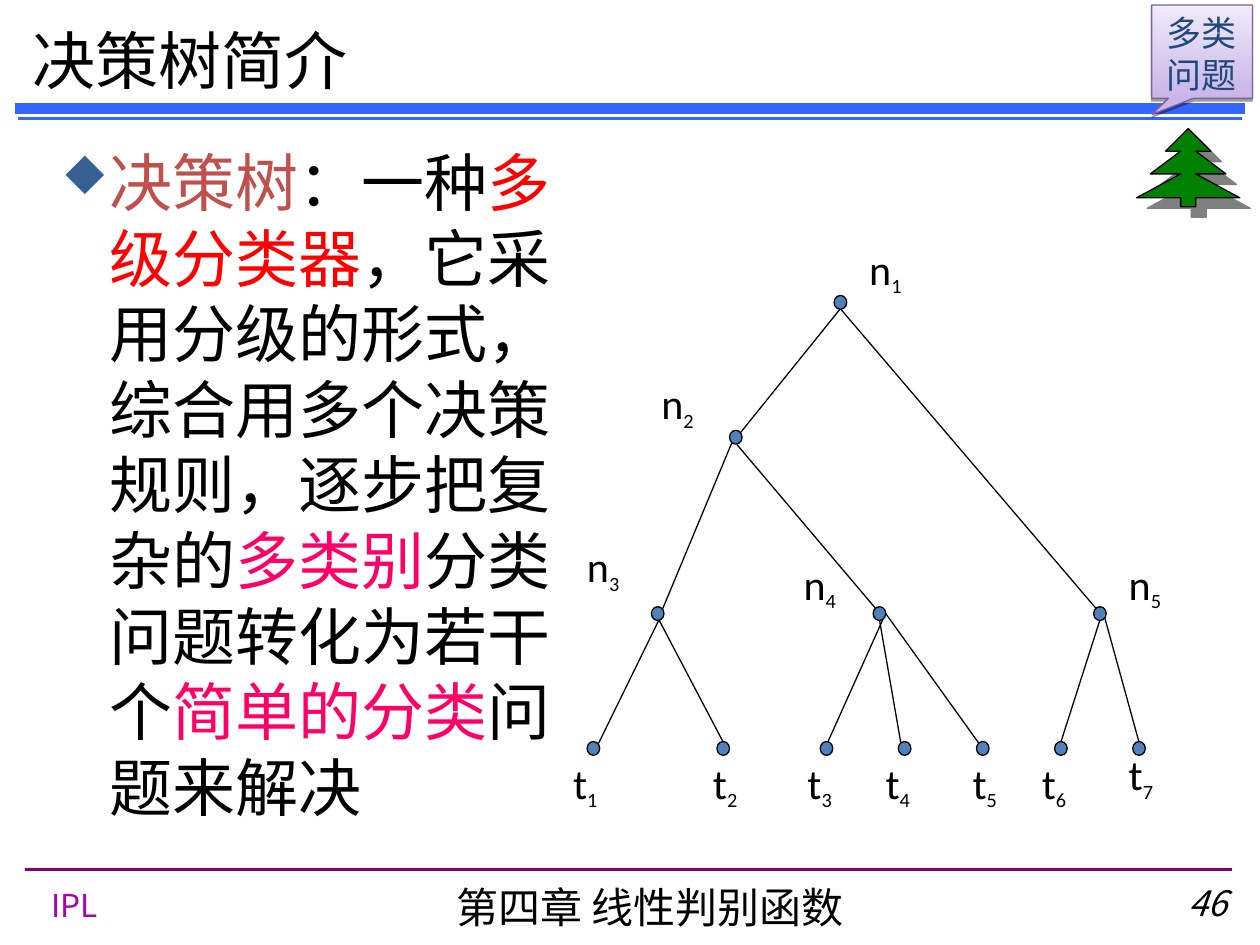
from dataclasses import dataclass
from typing import NamedTuple

from lxml.etree import SubElement
from pptx import Presentation
from pptx.dml.color import RGBColor
from pptx.enum.shapes import MSO_CONNECTOR, MSO_SHAPE
from pptx.enum.text import MSO_ANCHOR, MSO_AUTO_SIZE, PP_ALIGN
from pptx.oxml.ns import qn
from pptx.util import Inches, Pt


@dataclass(frozen=True)
class Theme:
    font: str = "Calibri"
    footer_font: str = "Noto Sans CJK SC"
    black: str = "000000"
    rule_blue: str = "3366FF"
    rule_purple: str = "800080"
    footer_purple: str = "A603AB"
    term: str = "C0504D"
    red: str = "FF0000"
    pink: str = "FF0066"
    bullet: str = "376092"
    node: str = "4F81BD"
    tree_green: str = "008000"
    tree_shadow: str = "808080"
    callout_text: str = "1F497D"
    callout_line: str = "7D60A0"
    callout_dark: str = "C9B5E8"
    callout_light: str = "F0EAF9"
    heading_size: float = 36
    label_size: float = 24
    small_size: float = 20
    footer_size: float = 18
    thin: float = 0.75


THEME = Theme()


class Point(NamedTuple):
    x: float
    y: float


class Box(NamedTuple):
    left: float
    top: float
    width: float
    height: float

    def lengths(self) -> list:
        return [Inches(value) for value in self]


class Span(NamedTuple):
    text: str
    color: str = THEME.black


class Node(NamedTuple):
    letter: str
    index: int
    center: Point
    label: Point


class Edge(NamedTuple):
    start: Point
    end: Point


NODE_WIDTH, NODE_HEIGHT = 0.1, 0.11
LEAF_Y, LEAF_LABEL_Y = 5.94, 5.96

NODES = [
    Node("n", 1, Point(6.67, 2.4), Point(6.8, 1.88)),
    Node("n", 2, Point(5.84, 3.47), Point(5.15, 2.95)),
    Node("n", 3, Point(5.22, 4.87), Point(4.56, 4.24)),
    Node("n", 4, Point(6.98, 4.87), Point(6.28, 4.38)),
    Node("n", 5, Point(8.73, 4.87), Point(8.86, 4.38)),
    Node("t", 1, Point(4.71, LEAF_Y), Point(4.45, LEAF_LABEL_Y)),
    Node("t", 2, Point(5.74, LEAF_Y), Point(5.56, LEAF_LABEL_Y)),
    Node("t", 3, Point(6.56, LEAF_Y), Point(6.31, LEAF_LABEL_Y)),
    Node("t", 4, Point(7.18, LEAF_Y), Point(6.93, LEAF_LABEL_Y)),
    Node("t", 5, Point(7.8, LEAF_Y), Point(7.62, LEAF_LABEL_Y)),
    Node("t", 6, Point(8.42, LEAF_Y), Point(8.17, LEAF_LABEL_Y)),
    Node("t", 7, Point(9.04, LEAF_Y), Point(8.86, 5.89)),
]

EDGES = [
    Edge(Point(6.67, 2.45), Point(5.88, 3.43)),
    Edge(Point(6.67, 2.45), Point(8.7, 4.83)),
    Edge(Point(5.81, 3.51), Point(5.26, 4.83)),
    Edge(Point(5.85, 3.53), Point(6.95, 4.83)),
    Edge(Point(5.23, 4.92), Point(4.75, 5.9)),
    Edge(Point(5.23, 4.92), Point(5.74, 5.89)),
    Edge(Point(7.01, 4.91), Point(6.57, 5.89)),
    Edge(Point(6.98, 4.92), Point(7.15, 5.9)),
    Edge(Point(7.03, 4.87), Point(7.77, 5.9)),
    Edge(Point(8.73, 4.92), Point(8.42, 5.89)),
    Edge(Point(8.77, 4.91), Point(9.04, 5.89)),
]

DEFINITION = [
    Span("决策树", THEME.term), Span("：一种"), Span("多级分类器", THEME.red),
    Span("，它采用分级的形式，综合用多个决策规则，逐步把复杂的"),
    Span("多类别", THEME.pink), Span("分类问题转化为若干个"),
    Span("简单的分类", THEME.pink), Span("问题来解决"),
]

# Right half of the fir tree, from the tip down to the trunk
FIR_CENTER = 9.43
FIR_HALF = [(0.18, 1.2), (0.06, 1.2), (0.3, 1.38), (0.06, 1.38),
            (0.41, 1.57), (0.06, 1.57), (0.06, 1.64)]


def format_run(run, size: float, color: str = THEME.black, font: str = THEME.font) -> None:
    run.font.size = Pt(size)
    run.font.name = font
    run.font.color.rgb = RGBColor.from_string(color)
    SubElement(run.font._element, qn("a:ea")).set("typeface", font)


def add_text(slide, box: Box, spans: list[Span], size: float, font: str = THEME.font,
             align=PP_ALIGN.LEFT):
    text_frame = slide.shapes.add_textbox(*box.lengths()).text_frame
    text_frame.word_wrap = True
    paragraph = text_frame.paragraphs[0]
    paragraph.alignment = align
    for span in spans:
        run = paragraph.add_run()
        run.text = span.text
        format_run(run, size, span.color, font)
    return paragraph


def add_line(slide, edge: Edge, color: str = THEME.black, width: float = THEME.thin,
             cap: str = "flat") -> None:
    ends = [Inches(value) for point in edge for value in point]
    connector = slide.shapes.add_connector(MSO_CONNECTOR.STRAIGHT, *ends)
    connector.line.color.rgb = RGBColor.from_string(color)
    connector.line.width = Pt(width)
    properties = connector._element.spPr
    properties.find(qn("a:ln")).set("cap", cap)
    SubElement(properties, qn("a:effectLst"))


def style_shape(shape, fill: str | None, line: str = THEME.black) -> None:
    shape.shadow.inherit = False
    if fill:
        shape.fill.solid()
        shape.fill.fore_color.rgb = RGBColor.from_string(fill)
    shape.line.color.rgb = RGBColor.from_string(line)
    shape.line.width = Pt(THEME.thin)


def add_shadow(shape, color: str, opacity: int, distance: float, angle: int) -> None:
    effects = shape._element.spPr.find(qn("a:effectLst"))
    shadow = SubElement(effects, qn("a:outerShdw"), dist=str(Pt(distance)),
                        dir=str(angle * 60000), algn="ctr", rotWithShape="0")
    shade = SubElement(shadow, qn("a:srgbClr"), val=color)
    SubElement(shade, qn("a:alpha"), val=str(opacity * 1000))


def add_bullet(paragraph, indent: float) -> None:
    properties = paragraph._p.get_or_add_pPr()
    properties.set("marL", str(Inches(indent)))
    properties.set("indent", str(-Inches(indent)))
    color = SubElement(properties, qn("a:buClr"))
    SubElement(color, qn("a:srgbClr"), val=THEME.bullet)
    SubElement(properties, qn("a:buSzPct"), val="75000")
    # The letter u is the solid diamond in Wingdings
    SubElement(properties, qn("a:buFont"), typeface="Wingdings", charset="2")
    SubElement(properties, qn("a:buChar"), char="u")


def add_node(slide, node: Node) -> None:
    box = Box(node.center.x - NODE_WIDTH / 2, node.center.y - NODE_HEIGHT / 2,
              NODE_WIDTH, NODE_HEIGHT)
    style_shape(slide.shapes.add_shape(MSO_SHAPE.OVAL, *box.lengths()), THEME.node)
    paragraph = add_text(slide, Box(*node.label, 0.75, 0.54),
                         [Span(node.letter), Span(str(node.index))], THEME.label_size)
    subscript = paragraph.runs[1].font
    subscript.size = Pt(THEME.small_size)
    subscript._element.set("baseline", "-25000")


def add_fir(slide) -> None:
    right = [(FIR_CENTER + offset, y) for offset, y in FIR_HALF]
    left = [(FIR_CENTER - offset, y) for offset, y in reversed(FIR_HALF)]
    points = [(Inches(x), Inches(y)) for x, y in right + left]
    builder = slide.shapes.build_freeform(Inches(FIR_CENTER), Inches(1.02), scale=1.0)
    builder.add_line_segments(points, close=True)
    shape = builder.convert_to_shape()
    style_shape(shape, THEME.tree_green)
    add_shadow(shape, THEME.tree_shadow, 100, 8.5, 45)


def add_callout(slide) -> None:
    shape = slide.shapes.add_shape(MSO_SHAPE.RECTANGULAR_CALLOUT,
                                   *Box(9.14, 0.04, 0.8, 0.74).lengths())
    shape.adjustments[0], shape.adjustments[1] = -0.494, 0.672
    style_shape(shape, None, THEME.callout_line)
    shape.fill.gradient()
    shape.fill.gradient_angle = 90
    for stop, color in zip(shape.fill.gradient_stops, (THEME.callout_dark, THEME.callout_light)):
        stop.color.rgb = RGBColor.from_string(color)
    add_shadow(shape, THEME.black, 38, 1.6, 90)
    text_frame = shape.text_frame
    text_frame.text = "多类\v问题"
    text_frame.vertical_anchor = MSO_ANCHOR.TOP
    paragraph = text_frame.paragraphs[0]
    paragraph.alignment = PP_ALIGN.CENTER
    for run in paragraph.runs:
        format_run(run, THEME.small_size, THEME.callout_text)


def add_title(slide) -> None:
    title = slide.shapes.title
    title.left, title.top, title.width, title.height = Box(0.16, 0.16, 3.44, 0.62).lengths()
    title.text_frame.text = "决策树简介"
    title.text_frame.auto_size = MSO_AUTO_SIZE.NONE
    title.text_frame.vertical_anchor = MSO_ANCHOR.MIDDLE
    paragraph = title.text_frame.paragraphs[0]
    paragraph.alignment = PP_ALIGN.LEFT
    format_run(paragraph.runs[0], THEME.heading_size)


def main() -> None:
    presentation = Presentation()
    presentation.slide_width, presentation.slide_height = Inches(10), Inches(7.5)
    slide = presentation.slides.add_slide(presentation.slide_layouts[5])

    # Footer and rules
    add_text(slide, Box(0.31, 6.98, 0.7, 0.39), [Span("IPL", THEME.footer_purple)],
             THEME.footer_size, THEME.footer_font)
    add_text(slide, Box(3.44, 6.95, 3.44, 0.5), [Span("第四章 线性判别函数")],
             THEME.label_size, THEME.footer_font, PP_ALIGN.CENTER)
    number = add_text(slide, Box(8.98, 6.95, 0.86, 0.51), [Span("46")],
                      THEME.small_size, THEME.footer_font, PP_ALIGN.RIGHT)
    number.runs[0].font.italic = True
    add_line(slide, Edge(Point(0.2, 6.9), Point(9.78, 6.9)), THEME.rule_purple, 1.5)
    for y, width in ((0.94, 2), (0.86, 6)):
        add_line(slide, Edge(Point(0.16, y), Point(9.84, y)), THEME.rule_blue, width, "sq")

    # Title and definition
    add_title(slide)
    definition = add_text(slide, Box(0.39, 1.09, 4.45, 5.7), DEFINITION, THEME.heading_size)
    definition.space_before = Pt(9)
    add_bullet(definition, 0.38)

    # Decision tree
    for edge in EDGES:
        add_line(slide, edge)
    for node in NODES:
        add_node(slide, node)

    # Corner ornaments
    add_fir(slide)
    add_callout(slide)
    presentation.save("out.pptx")


if __name__ == "__main__":
    main()
